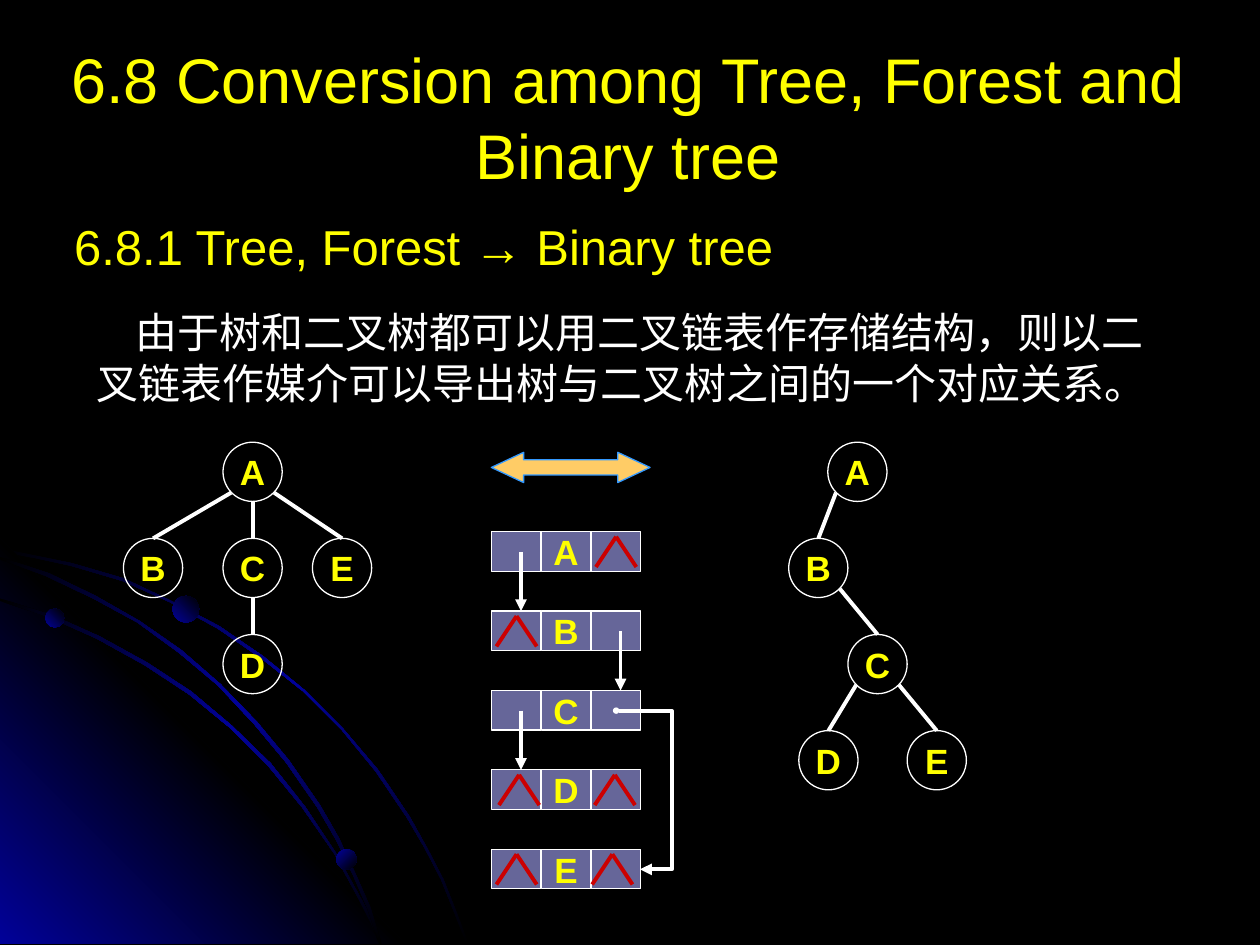
from copy import deepcopy

from lxml import etree
from pptx import Presentation
from pptx.dml.color import RGBColor
from pptx.enum import shapes as kind, text as txt
from pptx.oxml.ns import qn
from pptx.util import Inches, Pt

BLACK = RGBColor(0, 0, 0)
BLUE = RGBColor(0x01, 0x01, 0x99)
WHITE = RGBColor(255, 255, 255)
YELLOW = RGBColor(255, 255, 0)
RED = RGBColor(0xCC, 0, 0)
SLATE = RGBColor(0x66, 0x66, 0x99)
GOLD = RGBColor(0xFF, 0xCC, 0x66)
SKY = RGBColor(0x33, 0x99, 0xFF)
SHAPE = kind.MSO_SHAPE
LINK = kind.MSO_CONNECTOR
LABEL = {"size": Pt(20), "name": "Arial", "bold": True}
NODE = 0.47
CELL_W, CELL_H, PITCH = 0.395, 0.315, 0.63

ARCS = [
    [(0, 4.35), (0.28, 4.41), (0.57, 4.47), (0.98, 4.59), (1.36, 4.77), (1.74, 4.97),
     (2.09, 5.21), (2.42, 5.48), (2.72, 5.78), (3, 6.11), (3.25, 6.48), (3.39, 6.73),
     (3.52, 6.98), (3.62, 7.23), (3.72, 7.49), (3.7, 7.49), (3.6, 7.23), (3.5, 6.98),
     (3.37, 6.73), (3.23, 6.49), (2.98, 6.12), (2.71, 5.79), (2.41, 5.49), (2.08, 5.23),
     (1.73, 4.99), (1.35, 4.78), (0.97, 4.61), (0.56, 4.49), (0.28, 4.43), (0, 4.38)],
    [(0, 4.75), (0.41, 4.88), (0.79, 5.05), (1.17, 5.26), (1.52, 5.49), (1.84, 5.76),
     (2.15, 6.06), (2.42, 6.4), (2.66, 6.76), (2.86, 7.12), (2.96, 7.3), (3.03, 7.49),
     (3.01, 7.49), (2.94, 7.32), (2.85, 7.14), (2.65, 6.77), (2.4, 6.41), (2.13, 6.08),
     (1.83, 5.78), (1.5, 5.51), (1.15, 5.28), (0.77, 5.07), (0.39, 4.9), (0, 4.77)],
    [(0, 4.42), (0.39, 4.55), (0.76, 4.73), (1.11, 4.93), (1.44, 5.16), (1.75, 5.43),
     (2.04, 5.73), (2.29, 6.03), (2.54, 6.39), (2.69, 6.65), (2.82, 6.93), (2.94, 7.2),
     (3.03, 7.49), (3.01, 7.49), (2.92, 7.22), (2.8, 6.94), (2.67, 6.67), (2.52, 6.41),
     (2.27, 6.05), (2.02, 5.75), (1.73, 5.44), (1.42, 5.18), (1.09, 4.94), (0.74, 4.75),
     (0.36, 4.57), (0, 4.44)],
]
CORNER = [(0, 4.27), (3.22, 7.49), (0, 7.49)]


def put(item, **vals):
    for key, val in vals.items():
        setattr(item, key, val)


def box(*sides):
    return [Inches(side) for side in sides]


def grade(shape, tones, angle):
    shape.shadow.inherit = False
    shape.line.fill.background()
    shape.fill.gradient()
    shape.fill.gradient_angle = angle
    stops = shape._element.spPr.find(".//" + qn("a:gsLst"))
    for _ in tones[2:]:
        stops.append(deepcopy(stops[0]))
    for i, (stop, tone) in enumerate(zip(shape.fill.gradient_stops, tones)):
        stop.position = i / (len(tones) - 1)
        stop.color.rgb = tone


def form(slide, points, tones, angle):
    spots = [tuple(box(*point)) for point in points]
    maker = slide.shapes.build_freeform(*spots[0], scale=1.0)
    maker.add_line_segments(spots[1:], close=True)
    grade(maker.convert_to_shape(), tones, angle)


def decor(slide):
    dim = [BLACK, BLUE, BLACK]
    form(slide, ARCS[0], dim, 315)
    form(slide, CORNER, [BLUE, BLACK, BLUE], 45)
    for arc in ARCS[1:]:
        form(slide, arc, dim, 315)
    for x, y, size, angle in [(0.36, 4.83, 0.15, 45), (2.67, 6.74, 0.16, 315),
                              (1.37, 4.73, 0.21, 45)]:
        ball = slide.shapes.add_shape(SHAPE.OVAL, *box(x, y, size, size))
        grade(ball, [BLUE, BLACK], angle)


def style(font, tone, **vals):
    put(font, **vals)
    font.color.rgb = tone


def draw(slide, shape, spot, fill=None, edge=WHITE, label=""):
    item = slide.shapes.add_shape(shape, *box(*spot))
    item.shadow.inherit = False
    if fill is None:
        item.fill.background()
    else:
        item.fill.solid()
        item.fill.fore_color.rgb = fill
    item.line.color.rgb = edge
    item.line.width = Pt(0.75)
    if label:
        frame = item.text_frame
        put(frame, text=label, word_wrap=False, margin_left=0, margin_right=0,
            margin_top=0, margin_bottom=0, vertical_anchor=txt.MSO_ANCHOR.MIDDLE)
        para = frame.paragraphs[0]
        para.alignment = txt.PP_ALIGN.CENTER
        style(para.font, YELLOW, **LABEL)
    return item


def link(slide, start, end, tone=WHITE, head=False, route=LINK.STRAIGHT):
    line = slide.shapes.add_connector(route, *box(*start, *end))
    line.line.color.rgb = tone
    line.line.width = Pt(2.25)
    if head:
        etree.SubElement(line.line._get_or_add_ln(), qn("a:tailEnd"), type="triangle")
    etree.SubElement(line._element.spPr, qn("a:effectLst"))
    return line


def title(slide, spot):
    head = slide.shapes.title
    put(head, **dict(zip(("left", "top", "width", "height"), box(*spot))))
    frame = head.text_frame
    put(frame, text="6.8 Conversion among Tree, Forest and Binary tree", word_wrap=True,
        auto_size=txt.MSO_AUTO_SIZE.NONE, vertical_anchor=txt.MSO_ANCHOR.MIDDLE)
    frame.paragraphs[0].alignment = txt.PP_ALIGN.CENTER
    style(frame.paragraphs[0].font, YELLOW, size=Pt(36), name="Arial")


def note(slide, spot, lines, tone, size, face):
    frame = slide.shapes.add_textbox(*box(*spot)).text_frame
    put(frame, text="\n".join(lines), word_wrap=True)
    for para in frame.paragraphs:
        run = para.runs[0]
        style(run.font, tone, size=Pt(size), name=face)
        etree.SubElement(run._r.get_or_add_rPr(), qn("a:ea"), typeface=face)
    return frame.paragraphs


def prose(slide, spot):
    lines = ["由于树和二叉树都可以用二叉链表作存储结构，则以二",
             "叉链表作媒介可以导出树与二叉树之间的一个对应关系。"]
    paras = note(slide, spot, lines, WHITE, 24, "Noto Sans CJK SC")
    for para in paras:
        para.line_spacing = Pt(29)
    paras[0]._p.get_or_add_pPr().set("indent", str(Inches(0.31)))


def tree(slide, left, top, nodes, edges):
    spots = {name: (left + x, top + row * 0.763) for name, (x, row) in nodes.items()}
    for name, (x, y) in spots.items():
        draw(slide, SHAPE.OVAL, (x, y, NODE, NODE), label=name)
    half = NODE / 2
    for pair, side in edges:
        (x, y), (to, low) = (spots[name] for name in pair)
        drop = NODE - (0.07 if side else 0)
        link(slide, (x + half + side * 0.17, y + drop), (to + half, low))


def caret(slide, x, y):
    for side in (-0.16, 0.16):
        link(slide, (x + side, y + 0.24), (x, y), RED)


def chain(slide, left, top):
    draw(slide, SHAPE.LEFT_RIGHT_ARROW, (left, top - 0.63, 1.26, 0.24),
         GOLD, SKY).adjustments[1] = 1.068
    for row, name in enumerate("ABCDE"):
        for col, label in enumerate(("", name, "")):
            draw(slide, SHAPE.RECTANGLE,
                 (left + col * CELL_W, top + row * PITCH, CELL_W, CELL_H), SLATE, label=label)
    for row, x in [(0, 0.235), (1, 1.025), (2, 0.235)]:
        y = top + row * PITCH
        link(slide, (left + x, y + 0.16), (left + x, y + PITCH), head=True)
    bend = link(slide, (left + 1.01, top + 1.425), (left + 1.18, top + 2.68),
                head=True, route=LINK.ELBOW)
    guide = bend._element.spPr.find(".//" + qn("a:avLst"))
    etree.SubElement(guide, qn("a:gd"), name="adj1", fmla="val 249000")
    for row, x in [(0, 0.99), (1, 0.2), (3, 0.98), (3, 0.22), (4, 0.96), (4, 0.2)]:
        caret(slide, left + x, top + row * PITCH + 0.04)
    draw(slide, SHAPE.OVAL, (left + 0.97, top + 1.4, 0.04, 0.04), WHITE)


def main():
    deck = Presentation()
    put(deck, slide_width=Inches(10), slide_height=Inches(7.5))
    slide = deck.slides.add_slide(deck.slide_layouts[5])
    slide.background.fill.solid()
    slide.background.fill.fore_color.rgb = BLACK
    decor(slide)
    title(slide, (0.35, 0.3, 9.27, 1.25))
    note(slide, (0.49, 1.67, 5.99, 0.57), ["6.8.1 Tree, Forest → Binary tree"],
         YELLOW, 28, "Arial")
    prose(slide, (0.67, 2.38, 9.12, 0.91))
    tree(slide, 0.98, 3.51,
         {"A": (0.79, 0), "B": (0, 1), "C": (0.79, 1), "E": (1.5, 1), "D": (0.79, 2)},
         [("AB", -1), ("AC", 0), ("AE", 1), ("CD", 0)])
    tree(slide, 6.26, 3.51,
         {"A": (0.31, 0), "B": (0, 1), "C": (0.47, 2), "E": (0.94, 3), "D": (0.08, 3)},
         [("AB", -1), ("BC", 1), ("CE", 1), ("CD", -1)])
    chain(slide, 3.9, 4.22)
    deck.save("out.pptx")


if __name__ == "__main__":
    main()
